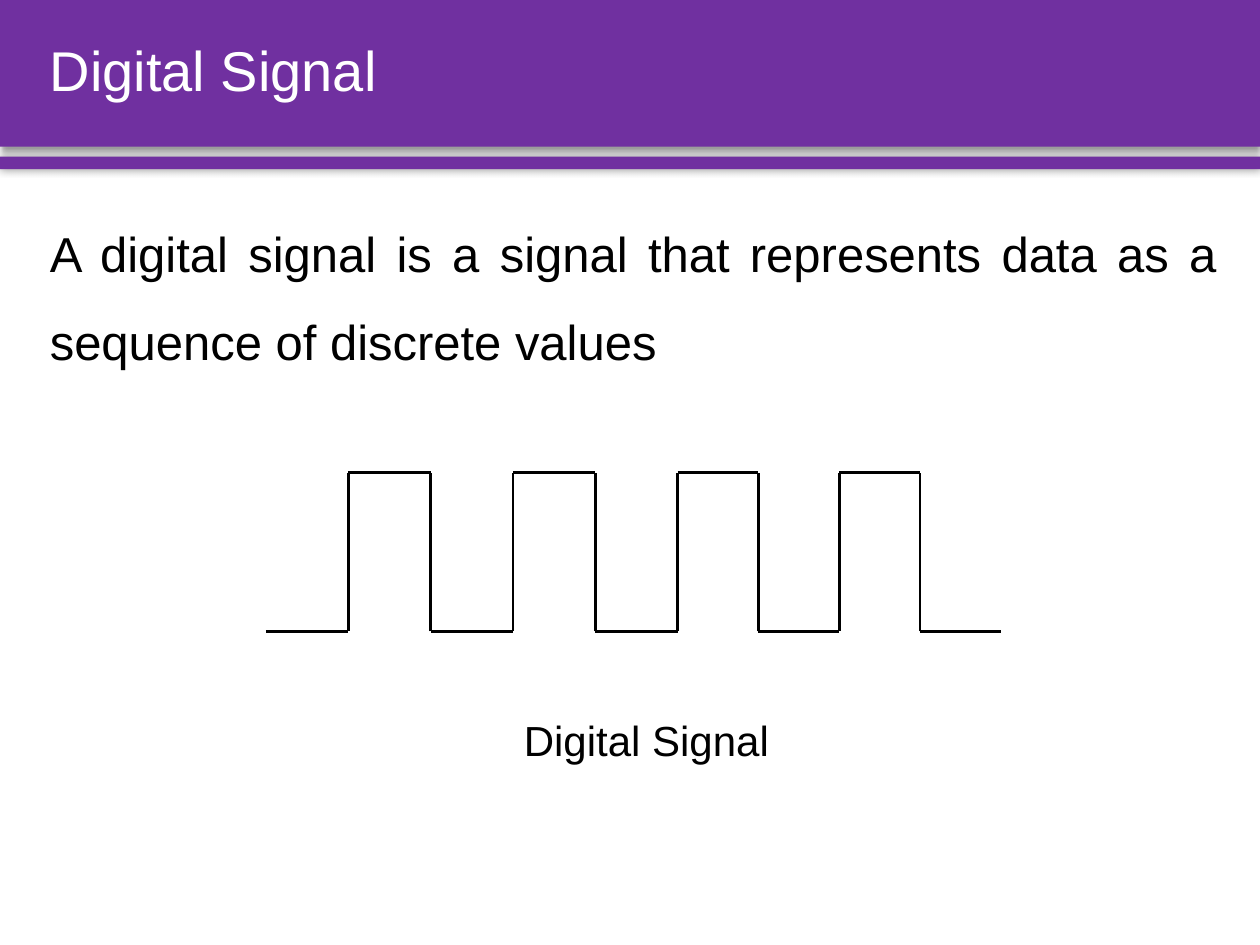
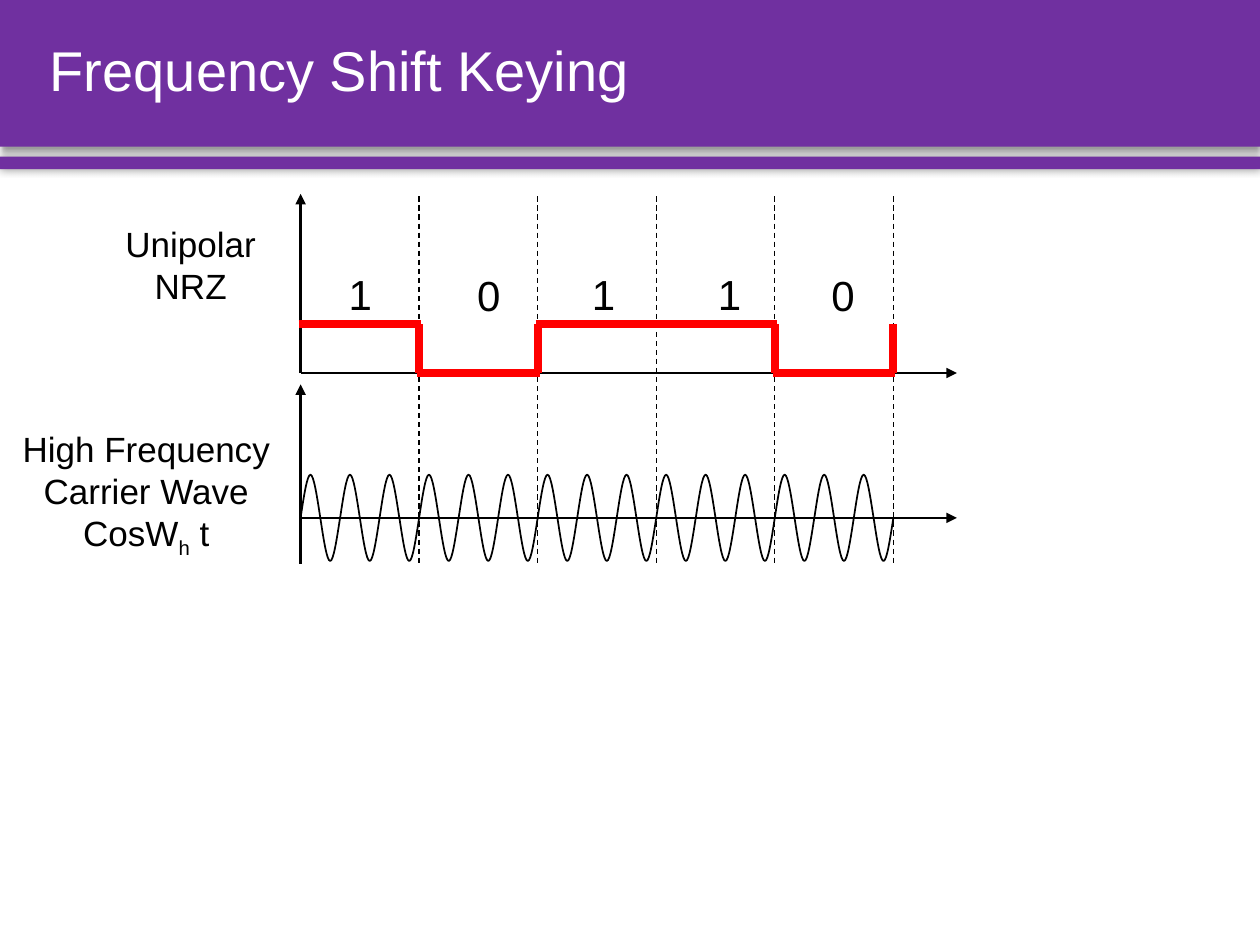
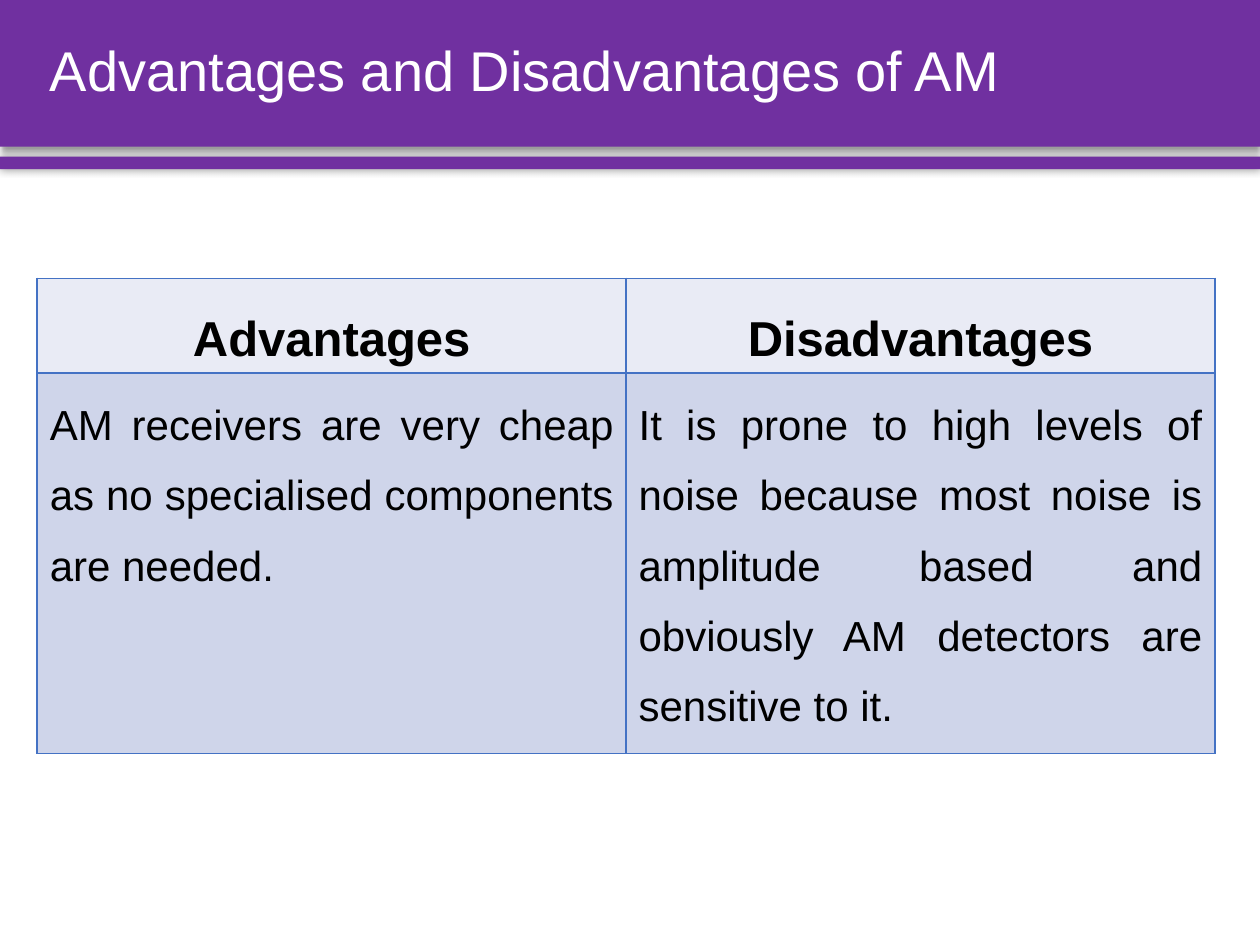
from itertools import accumulate

from lxml.etree import SubElement
from pptx import Presentation
from pptx.dml.color import RGBColor
from pptx.enum.dml import MSO_LINE
from pptx.enum.shapes import MSO_CONNECTOR, MSO_SHAPE
from pptx.enum.text import MSO_ANCHOR, MSO_AUTO_SIZE, PP_ALIGN
from pptx.oxml.ns import qn
from pptx.util import Cm, Pt

COLORS = {
    "band": "7030A0",
    "title": "FFFFFF",
    "ink": "000000",
    "signal": "FF0000",
    "border": "4472C4",
    "head_fill": "E9EBF5",
    "cell_fill": "CFD5EA",
}
FONT = "Arial"
TITLE_BOX = (0.75, 0, 24.03, 2.95)
BODY_BOX = (0.75, 3.78, 24.03, 13.87)
TITLE_AND_BODY, TITLE_ONLY = 1, 5
HALF_WAVE = [(0, 0), (1 / 6, 0.5), (1 / 3, 1), (0.5, 1), (2 / 3, 1), (5 / 6, 0.5), (1, 0)]


def rgb(name):
    return RGBColor.from_string(COLORS[name])


def apply(obj, values):
    for name, value in values.items():
        setattr(obj, name, value)


def place(sp, box):
    apply(sp, dict(zip(("left", "top", "width", "height"), map(Cm, box))))


def write(p, parts, size, color="ink", bold=False, **layout):
    apply(p, layout)
    for part in parts:
        r = p.add_run()
        r.text = part
        apply(r.font, {"name": FONT, "size": Pt(size), "bold": bold})
        r.font.color.rgb = rgb(color)


def add_band(slide, box, blur, distance, angle):
    sp = slide.shapes.add_shape(MSO_SHAPE.RECTANGLE, *map(Cm, box))
    sp.fill.solid()
    sp.fill.fore_color.rgb = rgb("band")
    sp.line.fill.background()
    sp.shadow.inherit = False
    effects = sp.element.spPr.find(qn("a:effectLst"))
    shadow = SubElement(effects, qn("a:outerShdw"), blurRad=str(Pt(blur)),
                        dist=str(Pt(distance)), dir=str(angle * 60000),
                        algn="t", rotWithShape="0")
    color = SubElement(shadow, qn("a:srgbClr"), val=COLORS["ink"])
    SubElement(color, qn("a:alpha"), val="40000")
    return sp


def move_to_master(prs, bands):
    tree = prs.slide_master.shapes.element
    for index, sp in enumerate(bands, 2):
        tree.insert(index, sp.element)


def add_slide(prs, layout, title):
    slide = prs.slides.add_slide(prs.slide_layouts[layout])
    sp = slide.shapes.title
    place(sp, TITLE_BOX)
    tf = sp.text_frame
    apply(tf, {"vertical_anchor": MSO_ANCHOR.MIDDLE, "word_wrap": True})
    write(tf.paragraphs[0], [title], 32, "title", alignment=PP_ALIGN.LEFT, line_spacing=0.9)
    return slide


def fill_body(slide, text):
    sp = slide.placeholders[1]
    place(sp, BODY_BOX)
    p = sp.text_frame.paragraphs[0]
    pPr = p._p.get_or_add_pPr()
    pPr.set("marL", "0")
    pPr.set("indent", "0")
    SubElement(pPr, qn("a:buNone"))
    write(p, [text], 28, alignment=PP_ALIGN.JUSTIFY, line_spacing=1.5, space_before=Pt(0))


def add_text(slide, box, paragraphs, size, wrap=True, align=PP_ALIGN.CENTER):
    sp = slide.shapes.add_textbox(*map(Cm, box))
    tf = sp.text_frame
    apply(tf, {"word_wrap": wrap, "auto_size": MSO_AUTO_SIZE.SHAPE_TO_FIT_TEXT})
    for i, parts in enumerate(paragraphs):
        p = tf.add_paragraph() if i else tf.paragraphs[0]
        write(p, parts, size, alignment=align)
    return sp


def add_line(shapes, x1, y1, x2, y2, color="ink", width=1.5, dash=None, arrow=False):
    c = shapes.add_connector(MSO_CONNECTOR.STRAIGHT, *map(Cm, (x1, y1, x2, y2)))
    apply(c.line, {"width": Pt(width), "dash_style": dash})
    c.line.color.rgb = rgb(color)
    spPr = c.element.spPr
    SubElement(spPr, qn("a:effectLst"))
    if arrow:
        SubElement(spPr.find(qn("a:ln")), qn("a:tailEnd"), type="triangle")


def curve_segments(sp):
    outline = next(sp.element.iter(qn("a:moveTo"))).getparent()
    segments = outline.findall(qn("a:lnTo"))
    for i in range(0, len(segments), 3):
        curve = SubElement(outline, qn("a:cubicBezTo"))
        for segment in segments[i:i + 3]:
            curve.append(segment[0])
            outline.remove(segment)


def add_half_wave(shapes, left, axis, width, height):
    points = [(Cm(left + width * x), Cm(axis - height * y)) for x, y in HALF_WAVE]
    builder = shapes.build_freeform(*points[0])
    builder.add_line_segments(points[1:], close=False)
    sp = builder.convert_to_shape()
    curve_segments(sp)
    sp.fill.background()
    sp.line.width = Pt(1)
    sp.line.color.rgb = rgb("ink")
    sp.shadow.inherit = False


def add_square_wave(slide, left, steps, high, low):
    shapes = slide.shapes.add_group_shape().shapes
    edges = list(accumulate(steps, initial=left))
    for i, (start, end) in enumerate(zip(edges, edges[1:])):
        y = high if i % 2 else low
        if i:
            add_line(shapes, start, low, start, high)
        add_line(shapes, start, y, end, y)


def add_bit_signal(slide, bits, left, step, high, low, overlap=0.04):
    style = {"color": "signal", "width": 4.5}
    for i, bit in enumerate(bits):
        x = left + i * step
        y = high if bit else low
        add_line(slide.shapes, x - overlap, y, x + step + overlap, y, **style)
        if bit != bits[(i + 1) % len(bits)]:
            add_line(slide.shapes, x + step, low, x + step, high, **style)


def add_carrier(slide, bit_count, left, step, axis, height, halves=6):
    width = step / halves
    for bit in range(bit_count):
        shapes = slide.shapes.add_group_shape().shapes
        for i in range(halves):
            add_half_wave(shapes, left + bit * step + i * width, axis, width,
                          height * (-1) ** i)


def style_cell(cell, fill):
    tcPr = cell._tc.get_or_add_tcPr()
    for side in ("lnL", "lnR", "lnT", "lnB"):
        ln = SubElement(tcPr, qn(f"a:{side}"), w=str(Pt(1)))
        SubElement(SubElement(ln, qn("a:solidFill")), qn("a:srgbClr"), val=COLORS["border"])
    cell.fill.solid()
    cell.fill.fore_color.rgb = rgb(fill)


def add_comparison(slide, box, heights, rows):
    table = slide.shapes.add_table(len(rows), len(rows[0]), *map(Cm, box)).table
    apply(table, {"first_row": False, "horz_banding": False})
    for r, texts in enumerate(rows):
        table.rows[r].height = Cm(heights[r])
        head = r == 0
        for c, text in enumerate(texts):
            cell = table.cell(r, c)
            style_cell(cell, "head_fill" if head else "cell_fill")
            write(cell.text_frame.paragraphs[0], [text], 28 if head else 24, bold=head,
                  alignment=PP_ALIGN.CENTER if head else PP_ALIGN.JUSTIFY, line_spacing=1.5)


def digital_signal(prs):
    slide = add_slide(prs, TITLE_AND_BODY, "Digital Signal")
    fill_body(slide, "A digital signal is a signal that represents data as a "
                     "sequence of discrete values")
    add_square_wave(slide, 5.36, [1.66] * 5 + [1.63] * 4, 9.53, 12.73)
    add_text(slide, (10.31, 14.27, 6.15, 2.08), [["Digital Signal"]], 24,
             wrap=False, align=PP_ALIGN.LEFT)
    return slide


def frequency_shift_keying(prs):
    slide = add_slide(prs, TITLE_ONLY, "Frequency Shift Keying")
    bits = [1, 0, 1, 1, 0]
    left, step, right = 6.06, 2.39, 19.29
    low, carrier_axis, bottom = 7.52, 10.44, 11.37

    add_text(slide, (1.52, 4.36, 4.65, 1.96), [["Unipolar NRZ"]], 20)
    for i in range(1, len(bits) + 1):
        x = left + i * step
        add_line(slide.shapes, x, 3.96, x, bottom, width=0.75, dash=MSO_LINE.DASH)
    for start, top, axis in ((low, 3.91, low), (bottom, 7.75, carrier_axis)):
        add_line(slide.shapes, left, start, left, top, arrow=True)
        add_line(slide.shapes, left, axis, right, axis, arrow=True)
    add_bit_signal(slide, bits, left, step, 6.53, low)
    for bit, x in zip(bits, (6.78, 9.37, 11.68, 14.22, 16.51)):
        add_text(slide, (x, 5.28 if bit else 5.31, 0.96, 0.74), [[str(bit)]], 24)
    add_carrier(slide, len(bits), left, step, carrier_axis, 0.87)

    label = add_text(slide, (0.08, 8.5, 5.74, 2.82),
                     [["High Frequency Carrier Wave"], ["CosW", "h", " t"]], 20)
    subscript = list(label.element.iter(qn("a:rPr")))[2]
    subscript.set("baseline", "-25000")


def am_comparison(prs):
    slide = add_slide(prs, TITLE_ONLY, "Advantages and Disadvantages of AM")
    add_comparison(slide, (0.75, 5.61, 23.74, 9.37), (1.7, 7.67), [
        ("Advantages", "Disadvantages"),
        ("AM receivers are very cheap as no specialised components are needed.",
         "It is prone to high levels of noise because most noise is amplitude based "
         "and obviously AM detectors are sensitive to it."),
    ])


def main():
    prs = Presentation()
    apply(prs, {"slide_width": Cm(25.4), "slide_height": Cm(19.05)})
    first = digital_signal(prs)
    move_to_master(prs, [add_band(first, (0, 0, 25.4, 2.96), 4, 3, 90),
                         add_band(first, (0, 3.16, 25.4, 0.25), 5, 0, 0)])
    frequency_shift_keying(prs)
    am_comparison(prs)
    prs.save("out.pptx")


if __name__ == "__main__":
    main()
